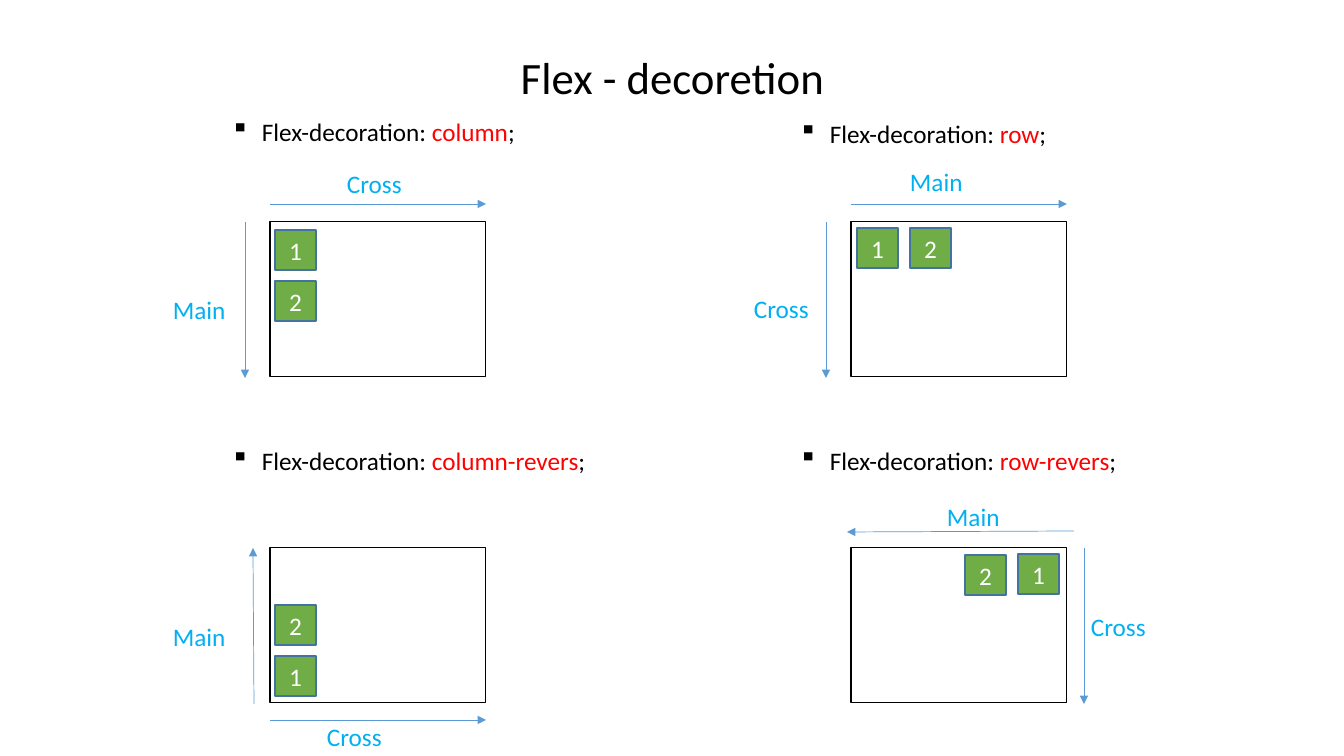
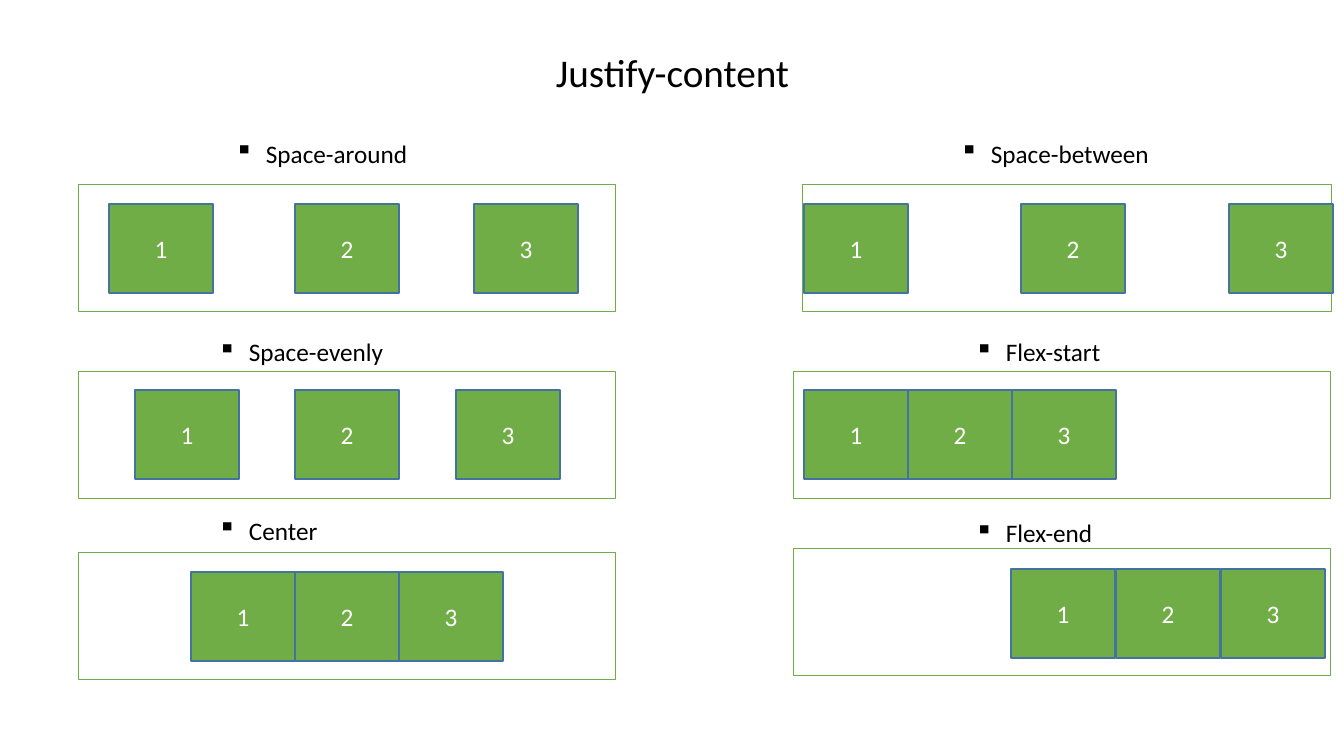
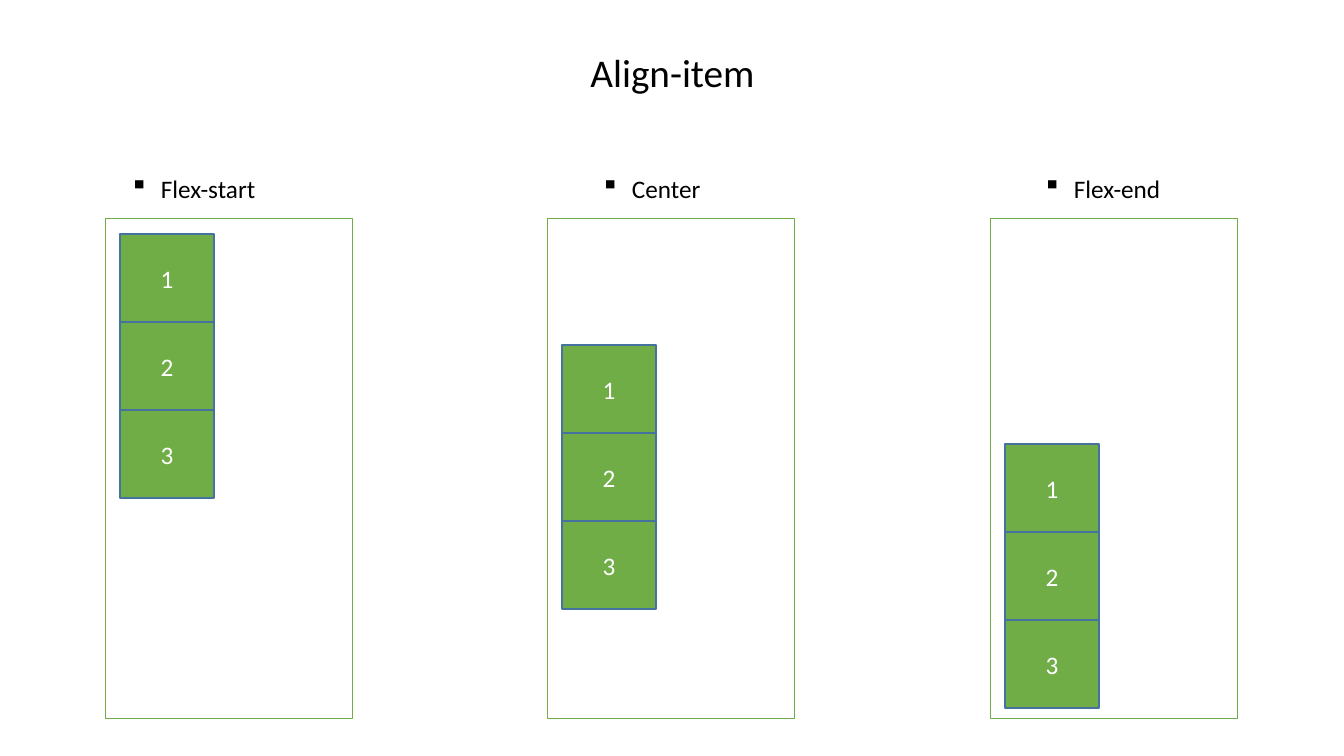
from lxml import etree
from pptx import Presentation
from pptx.dml.color import RGBColor
from pptx.enum.shapes import MSO_CONNECTOR, MSO_SHAPE
from pptx.enum.text import MSO_ANCHOR, MSO_AUTO_SIZE, PP_ALIGN
from pptx.oxml.ns import qn
from pptx.util import Emu, Pt

RECT = MSO_SHAPE.RECTANGLE
STRAIGHT = MSO_CONNECTOR.STRAIGHT
MIDDLE = MSO_ANCHOR.MIDDLE
GROW = MSO_AUTO_SIZE.SHAPE_TO_FIT_TEXT
LEFT, CENTER = PP_ALIGN.LEFT, PP_ALIGN.CENTER

SCALE = 914400 / 100.8
FONT = "Calibri"
BLACK, WHITE, RED = "000000", "FFFFFF", "FF0000"
GREEN, ITEM_LINE, ARROW, AXIS = "70AD47", "43739E", "5B9BD5", "00B0F0"
LABEL_H = 40

DIRECTIONS = [
    dict(value="column", bullet=(221, 111, 344), frame=(270, 222),
         main=(163, 289), cross=(337, 163),
         arrows=[(245, 222, 245, 378), (270, 204, 486, 204)],
         items=[("1", 275, 230), ("2", 275, 281)]),
    dict(value="row", bullet=(789, 113, 344), frame=(851, 222),
         main=(900, 161), cross=(744, 288),
         arrows=[(826, 222, 826, 378), (851, 204, 1067, 204)],
         items=[("1", 857, 228), ("2", 910, 228)]),
    dict(value="column-revers", bullet=(221, 440, 392), frame=(270, 548),
         main=(163, 616), cross=(317, 716),
         arrows=[(254, 704, 253, 548), (270, 720, 486, 720)],
         items=[("2", 275, 605), ("1", 275, 656)]),
    dict(value="row-revers", bullet=(789, 440, 344), frame=(851, 548),
         main=(937, 496), cross=(1081, 606),
         arrows=[(1084, 548, 1084, 704), (1074, 531, 847, 532)],
         items=[("2", 965, 555), ("1", 1018, 554)]),
]

JUSTIFY = [
    ("Space-around", (225, 133), (79, 185, 537), (109, 295, 474), 204),
    ("Space-between", (950, 133), (803, 185, 529), (804, 1021, 1229), 204),
    ("Space-evenly", (208, 331), (79, 372, 537), (135, 295, 456), 390),
    ("Flex-start", (965, 331), (794, 372, 537), range(804, 1013, 104), 390),
    ("Center", (208, 510), (79, 553, 537), range(191, 400, 104), 572),
    ("Flex-end", (965, 512), (794, 549, 537), range(1011, 1222, 105), 569),
]

ALIGN = [
    ("Flex-start", 120, 106, 234),
    ("Center", 591, 548, 345),
    ("Flex-end", 1033, 991, 444),
]


def px(n):
    return Emu(round(n * SCALE))


def rgb(color):
    return RGBColor.from_string(color)


def add_run(p, text, size, color):
    r = p.add_run()
    r.text = text
    r.font.name = FONT
    r.font.size = Pt(size)
    r.font.color.rgb = rgb(color)


def add_text(s, x, y, w, h, runs, size=18, align=LEFT):
    tf = s.shapes.add_textbox(px(x), px(y), px(w), px(h)).text_frame
    tf.word_wrap = True
    tf.auto_size = GROW
    p = tf.paragraphs[0]
    p.alignment = align
    for text, color in runs:
        add_run(p, text, size, color)
    return p


def add_title(s, text, size=28, y=43, h=57):
    add_text(s, 461, y, 423, h, [(text, BLACK)], size, CENTER)


def add_bullet(s, x, y, w, runs):
    p = add_text(s, x, y, w, LABEL_H, runs)
    pPr = p._p.get_or_add_pPr()
    pPr.set("marL", str(px(31)))
    pPr.set("indent", str(px(-31)))
    etree.SubElement(pPr, qn("a:buChar")).set("char", "▪")


def add_rect(s, x, y, w, h, line, width):
    sp = s.shapes.add_shape(RECT, px(x), px(y), px(w), px(h))
    sp.shadow.inherit = False
    sp.fill.background()
    sp.line.color.rgb = rgb(line)
    sp.line.width = Pt(width)
    return sp


def add_frame(s, x, y, w, h, line=GREEN):
    add_rect(s, x, y, w, h, line, 0.75)


def add_item(s, text, x, y, w, h):
    sp = add_rect(s, x, y, w, h, ITEM_LINE, 1)
    sp.fill.solid()
    sp.fill.fore_color.rgb = rgb(GREEN)
    tf = sp.text_frame
    tf.vertical_anchor = MIDDLE
    p = tf.paragraphs[0]
    p.alignment = CENTER
    add_run(p, text, 18, WHITE)


def add_arrow(s, x1, y1, x2, y2):
    cx = s.shapes.add_connector(STRAIGHT, px(x1), px(y1), px(x2), px(y2))
    cx.line.color.rgb = rgb(ARROW)
    cx.line.width = Pt(0.5)
    etree.SubElement(cx.line._get_or_add_ln(), qn("a:tailEnd")).set("type", "triangle")
    etree.SubElement(cx._element.spPr, qn("a:effectLst"))


def add_direction(s, value, bullet, frame, main, cross, arrows, items):
    add_bullet(s, *bullet, [("Flex-decoration: ", BLACK), (value, RED), (";", BLACK)])
    add_frame(s, *frame, 216, 155, BLACK)
    for ends in arrows:
        add_arrow(s, *ends)
    add_text(s, *main, 81, LABEL_H, [("Main", AXIS)])
    add_text(s, *cross, 95, LABEL_H, [("Cross", AXIS)])
    for text, x, y in items:
        add_item(s, text, x, y, 41, 40)


def build_direction(s):
    add_title(s, "Flex - decoretion", 32, 45, 65)
    for direction in DIRECTIONS:
        add_direction(s, **direction)


def build_justify(s):
    add_title(s, "Justify-content")
    for name, bullet, (x, y, w), item_xs, item_y in JUSTIFY:
        add_bullet(s, *bullet, 218, [(name, BLACK)])
        add_frame(s, x, y, w, 127)
        for i, item_x in enumerate(item_xs, 1):
            add_item(s, str(i), item_x, item_y, 104, 89)


def build_align(s):
    add_title(s, "Align-item")
    for name, bullet_x, x, item_y in ALIGN:
        add_bullet(s, bullet_x, 168, 203, [(name, BLACK)])
        add_frame(s, x, 219, 247, 500)
        for i in range(3):
            add_item(s, str(i + 1), x + 14, item_y + i * 88, 94, 88)


def main():
    prs = Presentation()
    prs.slide_width, prs.slide_height = px(1344), px(756)
    for build in (build_direction, build_justify, build_align):
        build(prs.slides.add_slide(prs.slide_layouts[6]))
    prs.save("out.pptx")


main()
